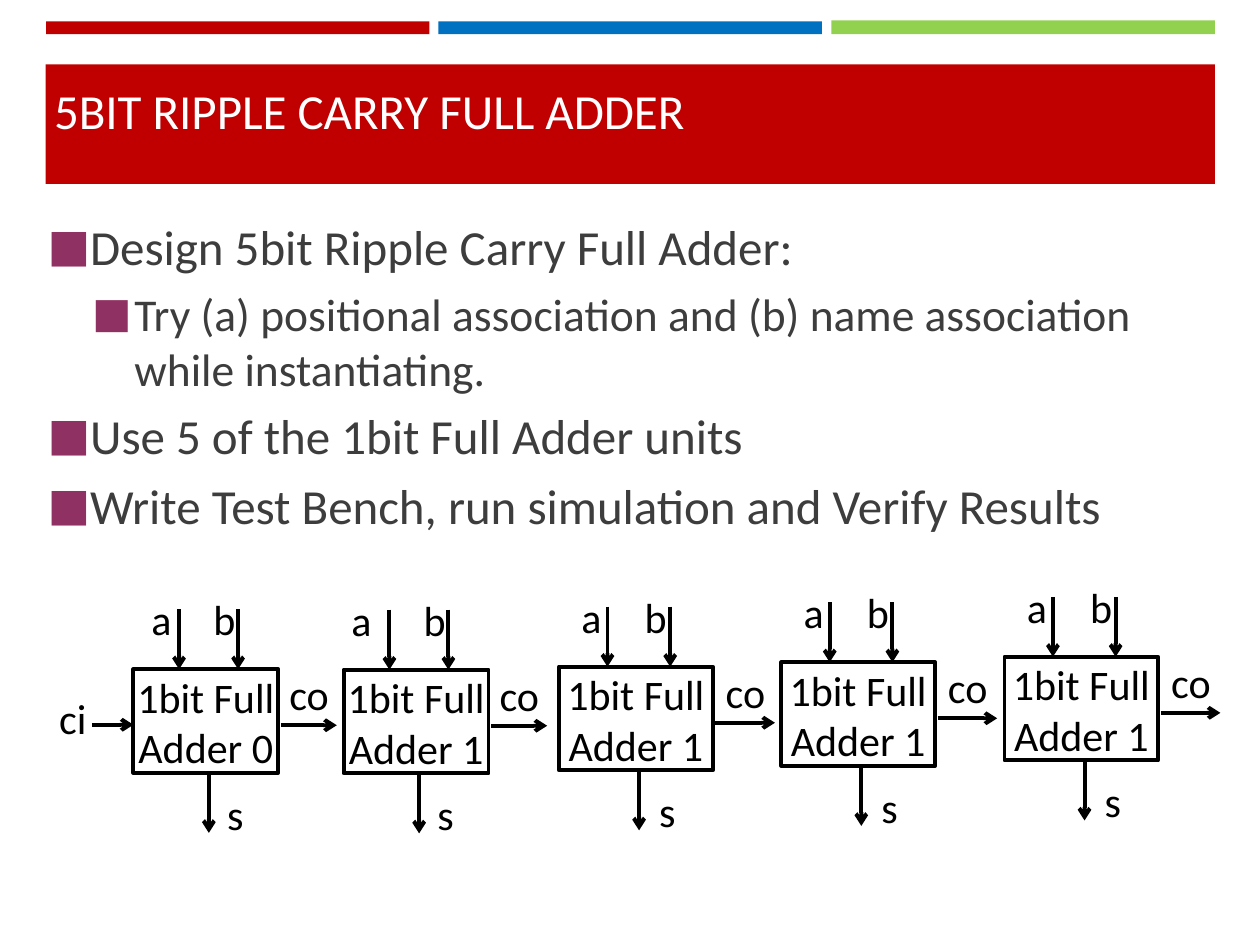
from typing import NamedTuple

from lxml import etree
from pptx import Presentation
from pptx.dml.color import RGBColor
from pptx.enum import shapes, text
from pptx.oxml.ns import qn
from pptx.util import Cm, Pt

FONT = "Calibri"
BLACK, WHITE, RED, GREY = "000000", "FFFFFF", "C00000", "3D3D3D"


class Bar(NamedTuple):
    """A filled rectangle of the slide frame, in cm."""
    left: float
    top: float
    width: float
    height: float
    color: str


class Bullet(NamedTuple):
    """One bulleted paragraph."""
    words: str
    level: int = 0
    size: int = 28


class Adder(NamedTuple):
    """A one-bit adder; a_left is the offset of its label a."""
    name: str
    left: float
    top: float
    a_left: float = 0.14
    width: float = 3.1


class Label(NamedTuple):
    """A signal name placed relative to an adder of base width."""
    words: str
    left: float
    top: float
    width: float


class Wire(NamedTuple):
    """An arrow placed relative to an adder of base width."""
    x1: float
    y1: float
    x2: float
    y2: float


BASE_WIDTH, BASE_HEIGHT = 2.92, 2.09
BARS = [
    Bar(0.93, 0.43, 7.73, 0.26, RED),
    Bar(16.76, 0.41, 7.73, 0.28, "92D050"),
    Bar(8.84, 0.43, 7.73, 0.26, "0070C0"),
    Bar(0.92, 1.3, 23.57, 2.41, RED),
]
BULLETS = [
    Bullet("Design 5bit Ripple Carry Full Adder:"),
    Bullet("Try (a) positional association and (b) name association "
           "while instantiating.", 1, 26),
    Bullet("Use 5 of the 1bit Full Adder units"),
    Bullet("Write Test Bench, run simulation and Verify Results"),
]
ADDERS = [
    Adder("1bit Full Adder 0", 2.69, 13.49, 0.08, BASE_WIDTH),
    Adder("1bit Full Adder 1", 6.93, 13.5, -0.13, BASE_WIDTH),
    Adder("1bit Full Adder 1", 11.27, 13.44),
    Adder("1bit Full Adder 1", 15.75, 13.35),
    Adder("1bit Full Adder 1", 20.25, 13.24),
]
LABELS = [
    Label("b", 1.35, -1.52, 0.97),
    Label("s", 1.61, 2.4, 0.89),
    Label("co", 2.89, -0.01, 1.3),
]
WIRES = [
    Wire(1.52, 2.08, 1.52, 3.3),
    Wire(2.11, -1.21, 2.11, 0),
    Wire(0.92, -1.21, 0.92, 0),
    Wire(2.97, 1.13, 4.1, 1.13),
]


def rgb(color: str) -> RGBColor:
    """Turn a hex string into a colour."""
    return RGBColor.from_string(color)


def apply(target, values: dict) -> None:
    """Set every attribute named in values."""
    for name, value in values.items():
        setattr(target, name, value)


def add_box(slide, left: float, top: float, width: float, height: float,
            fill: str, outline: str = "") -> None:
    """Draw a rectangle, outlined only when a colour is given."""
    box = slide.shapes.add_shape(shapes.MSO_SHAPE.RECTANGLE, Cm(left), Cm(top),
                                 Cm(width), Cm(height))
    box.shadow.inherit = False
    box.fill.solid()
    box.fill.fore_color.rgb = rgb(fill)
    if outline:
        box.line.color.rgb = rgb(outline)
        box.line.width = Pt(2.25)
    else:
        box.line.fill.background()


def add_frame(slide, left: float, top: float, width: float, height: float,
              **values):
    """Add a wrapping text frame with the given format values."""
    frame = slide.shapes.add_textbox(Cm(left), Cm(top), Cm(width),
                                     Cm(height)).text_frame
    apply(frame, {"word_wrap": True, **values})
    return frame


def write(paragraph, words: str, size: int, color: str) -> None:
    """Add one formatted run to a paragraph."""
    run = paragraph.add_run()
    run.text = words
    apply(run.font, {"name": FONT, "size": Pt(size)})
    run.font.color.rgb = rgb(color)


def add_label(slide, words: str, left: float, top: float, width: float,
              height: float = 1.02) -> None:
    """Write centred diagram text without margins."""
    frame = add_frame(slide, left, top, width, height, margin_left=0,
                      margin_right=0, margin_top=0, margin_bottom=0,
                      auto_size=text.MSO_AUTO_SIZE.SHAPE_TO_FIT_TEXT)
    frame.paragraphs[0].alignment = text.PP_ALIGN.CENTER
    write(frame.paragraphs[0], words, 24, BLACK)


def add_wire(slide, x1: float, y1: float, x2: float, y2: float) -> None:
    """Draw a black line with an open arrowhead at its end."""
    wire = slide.shapes.add_connector(shapes.MSO_CONNECTOR.STRAIGHT,
                                      Cm(x1), Cm(y1), Cm(x2), Cm(y2))
    wire.line.color.rgb = rgb(BLACK)
    wire.line.width = Pt(2.25)
    etree.SubElement(wire.line._get_or_add_ln(), qn("a:tailEnd"), type="arrow")
    etree.SubElement(wire._element.spPr, qn("a:effectLst"))


def add_bullet(paragraph, bullet: Bullet) -> None:
    """Write a paragraph with a square purple bullet and hanging indent."""
    paragraph.level = bullet.level
    paragraph.space_after = Pt(6)
    properties = paragraph._p.get_or_add_pPr()
    properties.set("marL", str(Cm(0.85 + 0.9 * bullet.level)))
    properties.set("indent", str(-Cm(0.85)))
    color = etree.SubElement(properties, qn("a:buClr"))
    etree.SubElement(color, qn("a:srgbClr"), val="903163")
    etree.SubElement(properties, qn("a:buSzPct"), val="92000")
    etree.SubElement(properties, qn("a:buFont"), typeface=FONT)
    etree.SubElement(properties, qn("a:buChar"), char="■")
    write(paragraph, bullet.words, bullet.size, GREY)


def add_adder(slide, adder: Adder) -> None:
    """Draw one adder with its signals, scaled to its width."""
    scale = adder.width / BASE_WIDTH
    left, top = adder.left, adder.top
    add_box(slide, left, top, adder.width, BASE_HEIGHT, WHITE, BLACK)
    add_label(slide, adder.name, left, top + 0.04, adder.width, 2.06)
    for label in [Label("a", adder.a_left / scale, -1.52, 0.97), *LABELS]:
        add_label(slide, label.words, left + label.left * scale,
                  top + label.top, label.width * scale)
    for wire in WIRES:
        add_wire(slide, left + wire.x1 * scale, top + wire.y1,
                 left + wire.x2 * scale, top + wire.y2)


def main() -> None:
    """Build and save the slide."""
    deck = Presentation()
    apply(deck, {"slide_width": Cm(25.4), "slide_height": Cm(19.05)})
    slide = deck.slides.add_slide(deck.slide_layouts[6])
    for bar in BARS:
        add_box(slide, *bar)
    title = add_frame(slide, 0.84, 1.42, 23.7, 1.52,
                      vertical_anchor=text.MSO_ANCHOR.BOTTOM)
    write(title.paragraphs[0], "5BIT RIPPLE CARRY FULL ADDER", 28, WHITE)
    body = add_frame(slide, 0.71, 3.33, 24, 8.48,
                     vertical_anchor=text.MSO_ANCHOR.MIDDLE)
    for index, bullet in enumerate(BULLETS):
        add_bullet(body.add_paragraph() if index else body.paragraphs[0], bullet)
    add_label(slide, "ci", 1.04, 13.97, 0.86)
    add_wire(slide, 1.85, 14.61, 2.69, 14.61)
    for adder in ADDERS:
        add_adder(slide, adder)
    deck.save("out.pptx")


main()
